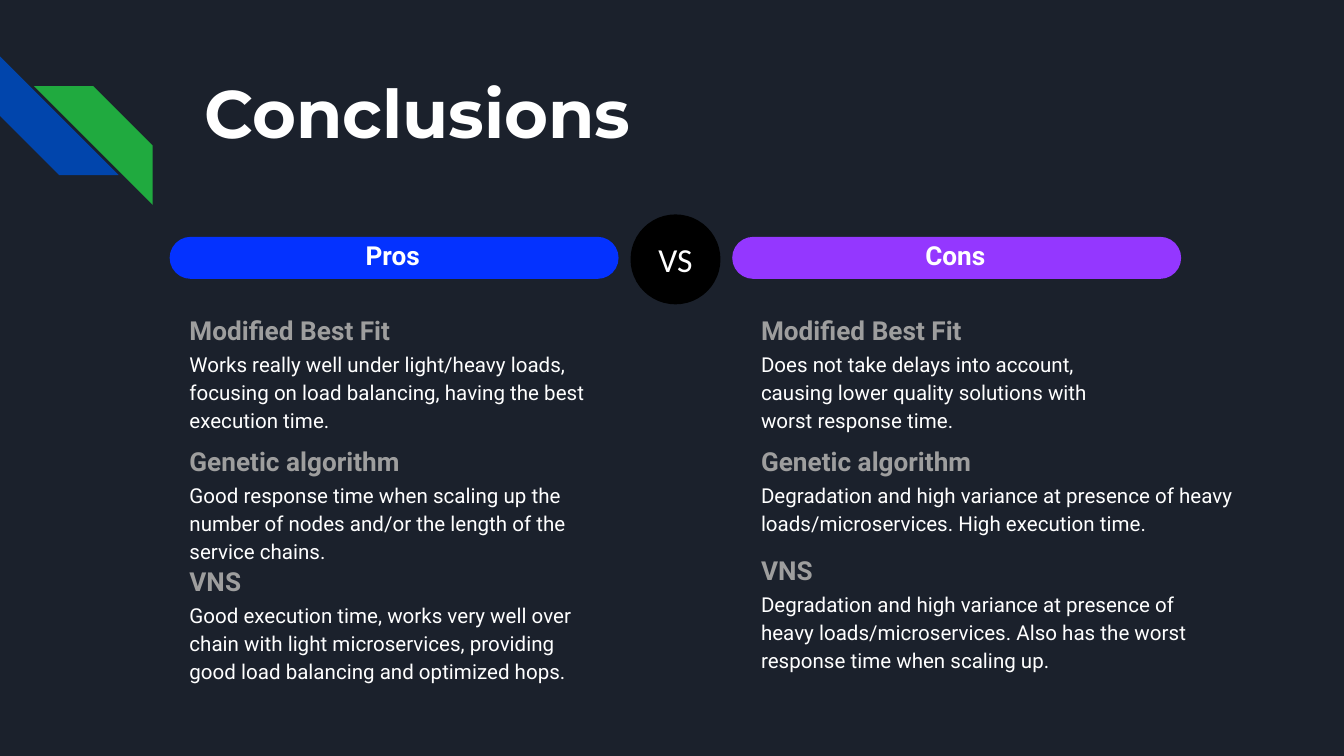
from pptx import Presentation
from pptx.dml.color import RGBColor
from pptx.enum.shapes import MSO_SHAPE
from pptx.enum.text import MSO_ANCHOR, MSO_AUTO_SIZE, PP_ALIGN
from pptx.util import Pt

HUES = {
    "back": "1B212C", "navy": "0145AC", "green": "20AA3F",
    "blue": "0432FF", "purple": "9437FF", "black": "000000",
    "white": "FFFFFF", "gray": "9E9E9E",
}
TITLE = "Conclusions"
STRIPES = [("navy", 0, 30.2, 270), ("green", 18.2, 46.2, 90)]
SIDES = [
    ("Pros", "blue", 90.9, 94.4, [
        ("Modified Best Fit", 164.9, 229,
         "Works really well under light/heavy loads, focusing on load balancing, "
         "having the best execution time."),
        ("Genetic algorithm", 235, 252.7,
         "Good response time when scaling up the number of nodes and/or "
         "the length of the service chains."),
        ("VNS", 299.3, 221.8,
         "Good execution time, works very well over chain with light microservices, "
         "providing good load balancing and optimized hops."),
    ]),
    ("Cons", "purple", 392.3, 400.6, [
        ("Modified Best Fit", 164.9, 200.9,
         "Does not take delays into account, causing lower quality solutions "
         "with worst response time."),
        ("Genetic algorithm", 235.2, 272.9,
         "Degradation and high variance at presence of heavy loads/microservices. "
         "High execution time."),
        ("VNS", 293.5, 243.4,
         "Degradation and high variance at presence of heavy loads/microservices. "
         "Also has the worst response time when scaling up."),
    ]),
]
BAR_W, BAR_H, BAR_TOP = 240.5, 22.5, 126.9
HEAD_H, BODY_H, BODY_GAP = 15.1, 24.5, 18.5
SIDE_PAD, TOP_PAD = 7.2, 3.6


def color(name):
    return RGBColor.from_string(HUES[name])


def place(item, left, top, width, height):
    item.left, item.top, item.width, item.height = map(Pt, (left, top, width, height))


def write(frame, text, size, hue="white", font="Roboto", bold=False,
          align=PP_ALIGN.LEFT, anchor=MSO_ANCHOR.TOP, pad=TOP_PAD, space=1):
    frame.auto_size = MSO_AUTO_SIZE.NONE
    frame.word_wrap = True
    frame.vertical_anchor = anchor
    frame.margin_left = frame.margin_right = Pt(SIDE_PAD)
    frame.margin_top = frame.margin_bottom = Pt(pad)
    para = frame.paragraphs[0]
    para.alignment = align
    para.line_spacing = space
    run = para.add_run()
    run.text = text
    run.font.name = font
    run.font.size = Pt(size)
    run.font.bold = bold
    run.font.color.rgb = color(hue)


def label(slide, box, text, size, **style):
    write(slide.shapes.add_textbox(*map(Pt, box)).text_frame, text, size, **style)


def draw(slide, kind, box, hue):
    shape = slide.shapes.add_shape(kind, *map(Pt, box))
    shape.shadow.inherit = False
    shape.fill.solid()
    shape.fill.fore_color.rgb = color(hue)
    shape.line.fill.background()
    return shape


def main():
    deck = Presentation()
    deck.slide_width, deck.slide_height = Pt(720), Pt(405)
    slide = deck.slides.add_slide(deck.slide_layouts[5])
    slide.background.fill.solid()
    slide.background.fill.fore_color.rgb = color("back")

    for hue, left, top, turn in STRIPES:
        stripe = draw(slide, MSO_SHAPE.DIAGONAL_STRIPE, (left, top, 63.6, 63.6), hue)
        stripe.rotation = turn

    title = slide.shapes.title
    place(title, 102.2, 31, 554.4, 72)
    write(title.text_frame, TITLE, 36, font="Montserrat", bold=True, pad=SIDE_PAD)

    for name, hue, bar, left, items in SIDES:
        pill = draw(slide, MSO_SHAPE.ROUNDED_RECTANGLE, (bar, BAR_TOP, BAR_W, BAR_H), hue)
        pill.adjustments[0] = 0.5
        label(slide, (bar + 83, BAR_TOP - 2, 73, HEAD_H), name, 14,
              bold=True, align=PP_ALIGN.CENTER)
        for head, top, width, body in items:
            label(slide, (left, top, 200.9, HEAD_H), head, 14, hue="gray", bold=True)
            label(slide, (left, top + BODY_GAP, width, BODY_H), body, 11, space=1.13)

    badge = draw(slide, MSO_SHAPE.OVAL, (337.8, 114.9, 48.2, 48.2), "black")
    write(badge.text_frame, "VS", 18, font="Calibri",
          align=PP_ALIGN.CENTER, anchor=MSO_ANCHOR.MIDDLE)
    deck.save("out.pptx")


if __name__ == "__main__":
    main()
